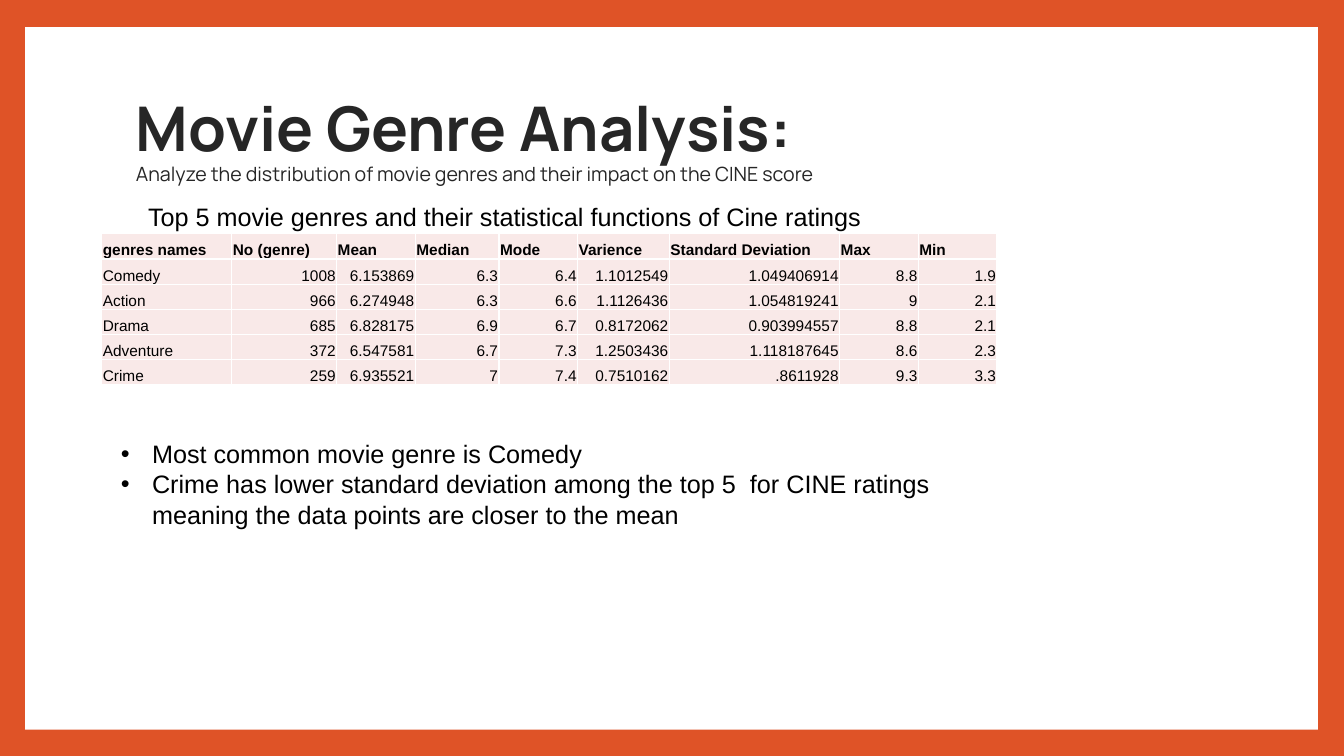
from lxml import etree
from pptx import Presentation, util as u
from pptx.dml.color import RGBColor
from pptx.enum import shapes, text
from pptx.oxml import ns

PX = 9144
FRAME = "DF5327"
WHITE = "FFFFFF"
BLACK = "000000"
TITLE = "262626"
CELL = "F9E9E8"

COLUMNS = [129, 104, 78, 83, 78, 91, 169, 78, 78]
ROW_HEIGHT = 25
GENRES = [
    ["genres names", "No (genre)", "Mean", "Median", "Mode", "Varience",
     "Standard Deviation", "Max", "Min"],
    ["Comedy", "1008", "6.153869", "6.3", "6.4", "1.1012549", "1.049406914", "8.8", "1.9"],
    ["Action", "966", "6.274948", "6.3", "6.6", "1.1126436", "1.054819241", "9", "2.1"],
    ["Drama", "685", "6.828175", "6.9", "6.7", "0.8172062", "0.903994557", "8.8", "2.1"],
    ["Adventure", "372", "6.547581", "6.7", "7.3", "1.2503436", "1.118187645", "8.6", "2.3"],
    ["Crime", "259", "6.935521", "7", "7.4", "0.7510162", ".8611928", "9.3", "3.3"],
]
FINDINGS = [
    "Most common movie genre is Comedy",
    "Crime has lower standard deviation among the top 5  for CINE ratings "
    "meaning the data points are closer to the mean",
]


def px(*lengths):
    return [u.Emu(n * PX) for n in lengths]


def paint(target, color):
    target.solid()
    target.fore_color.rgb = RGBColor.from_string(color)


def add_run(p, words, size, font="Arial", color=BLACK, bold=False):
    r = p.add_run()
    r.text = words
    r.font.size = u.Pt(size)
    r.font.name = font
    r.font.bold = bold
    r.font.color.rgb = RGBColor.from_string(color)


def add_frame(s, box):
    paint(s.background.fill, FRAME)
    sp = s.shapes.add_shape(shapes.MSO_SHAPE.RECTANGLE, *px(*box))
    sp.shadow.inherit = False
    paint(sp.fill, WHITE)
    sp.line.fill.background()


def add_text_box(s, box):
    tf = s.shapes.add_textbox(*px(*box)).text_frame
    tf.word_wrap = True
    return tf


def add_title(s, box):
    tf = add_text_box(s, box)
    tf.vertical_anchor = text.MSO_ANCHOR.MIDDLE
    p = tf.paragraphs[0]
    p.line_spacing = 0.9
    add_run(p, "Movie Genre Analysis:", 44, "Manrope", TITLE, True)
    p.add_line_break()
    add_run(p, "Analyze the distribution of movie genres and their impact on the CINE score",
            14, "Manrope", TITLE)


def add_caption(s, box):
    tf = add_text_box(s, box)
    add_run(tf.paragraphs[0],
            "Top 5 movie genres and their statistical functions of Cine ratings", 18)


def add_borders(cell, color):
    tc_pr = cell._tc.get_or_add_tcPr()
    for i, side in enumerate(["a:lnL", "a:lnR", "a:lnT", "a:lnB"]):
        line = etree.Element(ns.qn(side), w=str(u.Pt(1)))
        fill = etree.SubElement(line, ns.qn("a:solidFill"))
        etree.SubElement(fill, ns.qn("a:srgbClr"), val=color)
        tc_pr.insert(i, line)


def add_genre_table(s, left, top):
    size = sum(COLUMNS), ROW_HEIGHT * len(GENRES)
    table = s.shapes.add_table(len(GENRES), len(COLUMNS), *px(left, top, *size)).table
    for column, width in zip(table.columns, COLUMNS):
        column.width = u.Emu(width * PX)
    for i, row in enumerate(GENRES):
        table.rows[i].height = u.Emu(ROW_HEIGHT * PX)
        for j, value in enumerate(row):
            cell = table.cell(i, j)
            paint(cell.fill, CELL)
            add_borders(cell, WHITE)
            cell.vertical_anchor = text.MSO_ANCHOR.BOTTOM
            cell.margin_left, cell.margin_top, cell.margin_right, cell.margin_bottom = px(1, 1, 1, 0)
            p = cell.text_frame.paragraphs[0]
            if i and j:
                p.alignment = text.PP_ALIGN.RIGHT
            add_run(p, value, 11, bold=i == 0)


def add_findings(s, box):
    tf = add_text_box(s, box)
    for i, finding in enumerate(FINDINGS):
        p = tf.add_paragraph() if i else tf.paragraphs[0]
        p_pr = p._p.get_or_add_pPr()
        p_pr.set("marL", str(31 * PX))
        p_pr.set("indent", str(-31 * PX))
        etree.SubElement(p_pr, ns.qn("a:buFont"), typeface="Arial")
        etree.SubElement(p_pr, ns.qn("a:buChar"), char="•")
        add_run(p, finding, 18)


def main():
    prs = Presentation()
    prs.slide_width, prs.slide_height = px(1333, 750)
    s = prs.slides.add_slide(prs.slide_layouts[6])
    add_frame(s, (25, 27, 1282, 697))
    add_title(s, (125, 67, 1080, 148))
    add_genre_table(s, 101, 232)
    add_caption(s, (137, 195, 852, 71))
    add_findings(s, (110, 430, 871, 101))
    prs.save("out.pptx")


if __name__ == "__main__":
    main()
